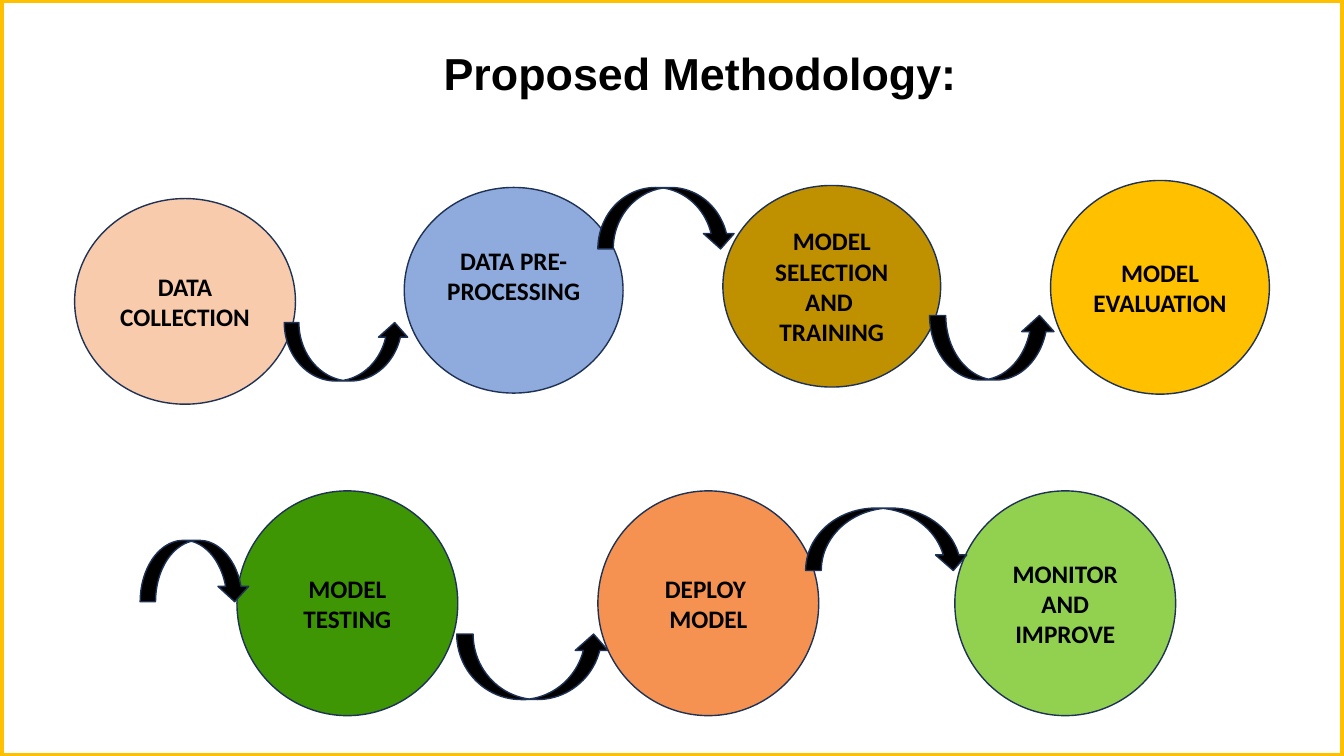
from pptx import Presentation
from pptx.dml.color import RGBColor
from pptx.enum.shapes import MSO_SHAPE
from pptx.enum.text import MSO_ANCHOR, PP_ALIGN
from pptx.util import Inches, Pt

BLACK = RGBColor(0x00, 0x00, 0x00)
NAVY = RGBColor(0x1E, 0x32, 0x56)
GOLD = RGBColor(0xFF, 0xC0, 0x00)
PEACH = RGBColor(0xF8, 0xCB, 0xAD)
BLUE = RGBColor(0x8F, 0xAA, 0xDC)
BRONZE = RGBColor(0xBF, 0x90, 0x00)
GREEN = RGBColor(0x3F, 0x96, 0x05)
ORANGE = RGBColor(0xF5, 0x92, 0x51)
LIME = RGBColor(0x92, 0xD0, 0x50)

HEADING = "Proposed Methodology:"
LOWER_TOP, LOWER_WIDTH, LOWER_HEIGHT = 4.87, 2.19, 2.23
STEPS = [
    ("DATA COLLECTION", PEACH, (0.74, 1.97, 2.19, 2.04), 0.05),
    ("DATA PRE-\nPROCESSING", BLUE, (4.01, 1.86, 2.17, 2.04), 0.35),
    ("MODEL SELECTION AND \nTRAINING", BRONZE, (7.17, 1.84, 2.16, 2), 0.05),
    ("MODEL EVALUATION", GOLD, (10.42, 1.79, 2.17, 2.12), 0.05),
] + [
    (label, color, (left, LOWER_TOP, LOWER_WIDTH, LOWER_HEIGHT), 0.05)
    for label, color, left in [
        ("MODEL TESTING", GREEN, 2.35),
        ("DEPLOY \nMODEL", ORANGE, 5.93),
        ("MONITOR AND\nIMPROVE", LIME, 9.47),
    ]
]
UP, DOWN = MSO_SHAPE.CURVED_UP_ARROW, MSO_SHAPE.CURVED_DOWN_ARROW
ARROWS = [
    (UP, (2.82, 3.2, 1.24, 0.58)),
    (DOWN, (5.93, 1.86, 1.37, 0.61)),
    (UP, (9.22, 3.13, 1.25, 0.64)),
    (DOWN, (1.39, 5.36, 1.09, 0.61)),
    (UP, (4.53, 6.29, 1.52, 0.65)),
    (DOWN, (7.99, 5.04, 1.62, 0.62)),
]


def add_outlined(slide, kind, box, fill, line=NAVY, weight=1):
    shape = slide.shapes.add_shape(kind, *map(Inches, box))
    shape.shadow.inherit = False
    if fill is None:
        shape.fill.background()
    else:
        shape.fill.solid()
        shape.fill.fore_color.rgb = fill
    shape.line.color.rgb = line
    shape.line.width = Pt(weight)
    return shape


def write(frame, text, font, size, align):
    frame.text = text
    frame.word_wrap = True
    for paragraph in frame.paragraphs:
        paragraph.alignment = align
        for run in paragraph.runs:
            run.font.name = font
            run.font.size = Pt(size)
            run.font.bold = True
            run.font.color.rgb = BLACK


def add_heading(slide):
    heading = slide.shapes.title
    heading.left, heading.top = Inches(4.3), Inches(0.4)
    heading.width, heading.height = Inches(5.45), Inches(0.64)
    heading.text_frame.vertical_anchor = MSO_ANCHOR.TOP
    write(heading.text_frame, HEADING, "Arial", 32, PP_ALIGN.LEFT)


def add_step(slide, label, color, box, bottom_inset):
    step = add_outlined(slide, MSO_SHAPE.FLOWCHART_CONNECTOR, box, color)
    step.text_frame.vertical_anchor = MSO_ANCHOR.MIDDLE
    step.text_frame.margin_bottom = Inches(bottom_inset)
    write(step.text_frame, label, "Calibri", 18, PP_ALIGN.CENTER)


def main():
    deck = Presentation()
    deck.slide_width, deck.slide_height = Inches(13.33), Inches(7.5)
    slide = deck.slides.add_slide(deck.slide_layouts[5])
    add_outlined(slide, MSO_SHAPE.RECTANGLE, (0.01, 0, 13.31, 7.5), None, GOLD, 4.5)
    add_heading(slide)
    for step in STEPS:
        add_step(slide, *step)
    for kind, box in ARROWS:
        add_outlined(slide, kind, box, BLACK)
    deck.save("out.pptx")


if __name__ == "__main__":
    main()
